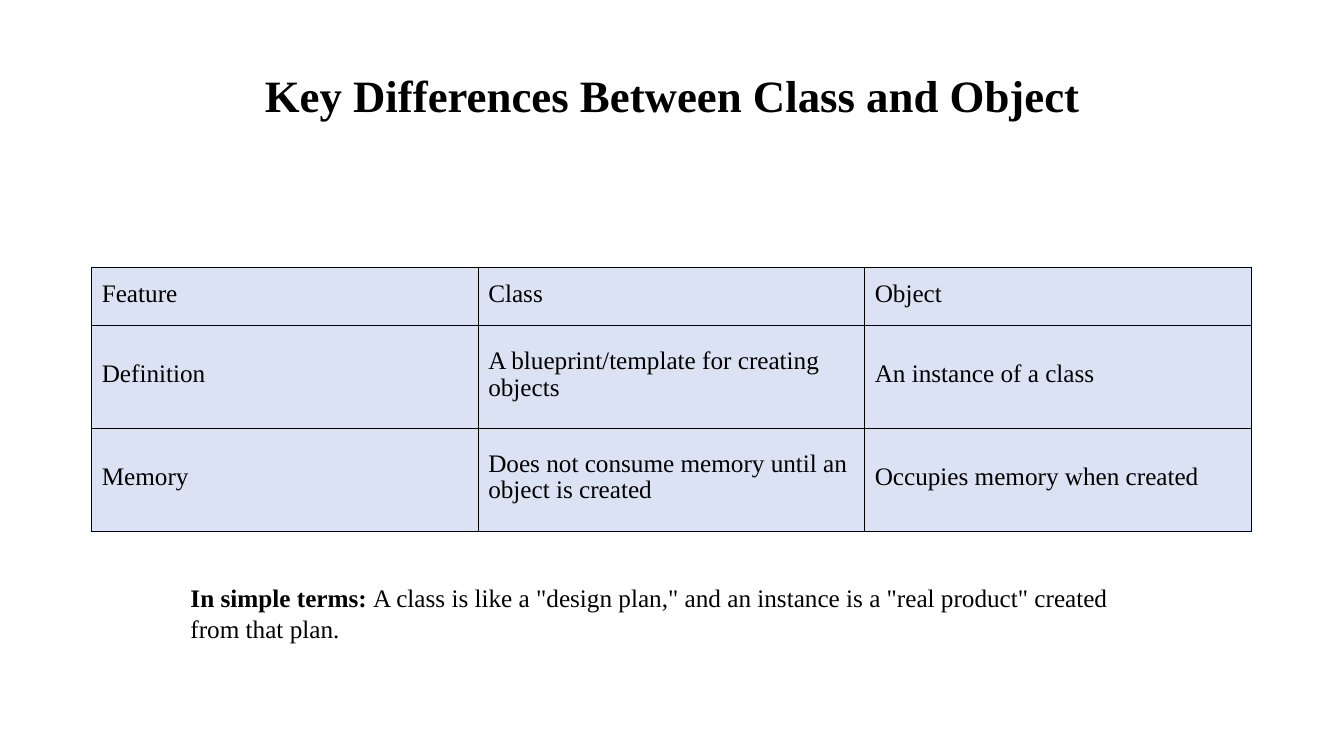
from lxml import etree
from pptx import Presentation
from pptx.dml.color import RGBColor
from pptx.enum.text import MSO_ANCHOR, PP_ALIGN
from pptx.oxml.ns import qn
from pptx.util import Inches, Pt

LEFT, CENTER = PP_ALIGN.LEFT, PP_ALIGN.CENTER
MIDDLE = MSO_ANCHOR.MIDDLE
FONT = "Times New Roman"
COLORS = {"text": "000000", "border": "000000", "cell": "DAE2F3"}
ROW_HEIGHTS = (0.58, 1.02, 1.02)
ROWS = (
    ("Feature", "Class", "Object"),
    ("Definition", "A blueprint/template for creating objects", "An instance of a class"),
    ("Memory", "Does not consume memory until an object is created",
     "Occupies memory when created"),
)


def write_text(frame, text, size=18, bold_lead="", align=LEFT, spacing=None,
               margins=(0, 0, 0, 0)):
    """Write one paragraph, with an optional bold lead, into a text frame."""
    frame.word_wrap = True
    (frame.margin_left, frame.margin_top,
     frame.margin_right, frame.margin_bottom) = map(Inches, margins)
    paragraph = frame.paragraphs[0]
    paragraph.alignment = align
    paragraph.line_spacing = spacing
    for content, bold in ((bold_lead, True), (text, False)):
        if content:
            run = paragraph.add_run()
            run.text = content
            run.font.name = FONT
            run.font.size = Pt(size)
            run.font.bold = bold
            run.font.color.rgb = RGBColor.from_string(COLORS["text"])


def add_text(slide, left, top, width, height, text, **text_format):
    """Add a text box filled with formatted text."""
    shape = slide.shapes.add_textbox(*map(Inches, (left, top, width, height)))
    write_text(shape.text_frame, text, **text_format)


def add_borders(cell):
    """Draw a one-point line on each side of a cell."""
    properties = cell._tc.get_or_add_tcPr()
    for side in ("lnL", "lnR", "lnT", "lnB"):
        line = etree.SubElement(properties, qn(f"a:{side}"), w=str(Pt(1)))
        fill = etree.SubElement(line, qn("a:solidFill"))
        etree.SubElement(fill, qn("a:srgbClr"), val=COLORS["border"])


def add_comparison(slide, left, top, width):
    """Add the table that compares a class with an object."""
    shape = slide.shapes.add_table(
        len(ROWS), len(ROWS[0]), Inches(left), Inches(top),
        Inches(width), Inches(sum(ROW_HEIGHTS)))
    table = shape.table
    table.first_row = table.horz_banding = False
    for row, height, texts in zip(table.rows, ROW_HEIGHTS, ROWS):
        row.height = Inches(height)
        for cell, text in zip(row.cells, texts):
            write_text(cell.text_frame, text, spacing=0.95)
            cell.margin_left = Inches(0.1)
            cell.margin_top = cell.margin_right = 0
            cell.margin_bottom = Inches(0.04)
            cell.vertical_anchor = MIDDLE
            add_borders(cell)
            cell.fill.solid()
            cell.fill.fore_color.rgb = RGBColor.from_string(COLORS["cell"])


def main():
    """Build the slide and save it."""
    presentation = Presentation()
    presentation.slide_width = Inches(13.33)
    presentation.slide_height = Inches(7.5)
    slide = presentation.slides.add_slide(presentation.slide_layouts[6])
    add_text(slide, 0.54, -0.06, 12.26, 1.69, "", size=32, align=CENTER,
             bold_lead="Key Differences Between Class and Object",
             margins=(0, 0.92, 0, 0))
    add_comparison(slide, 0.91, 2.65, 11.5)
    add_text(slide, 1.88, 5.76, 9.3, 0.63,
             'A class is like a "design plan," and an instance is a '
             '"real product" created from that plan.',
             bold_lead="In simple terms: ", margins=(0.01, 0.02, 0, 0))
    presentation.save("out.pptx")


if __name__ == "__main__":
    main()
